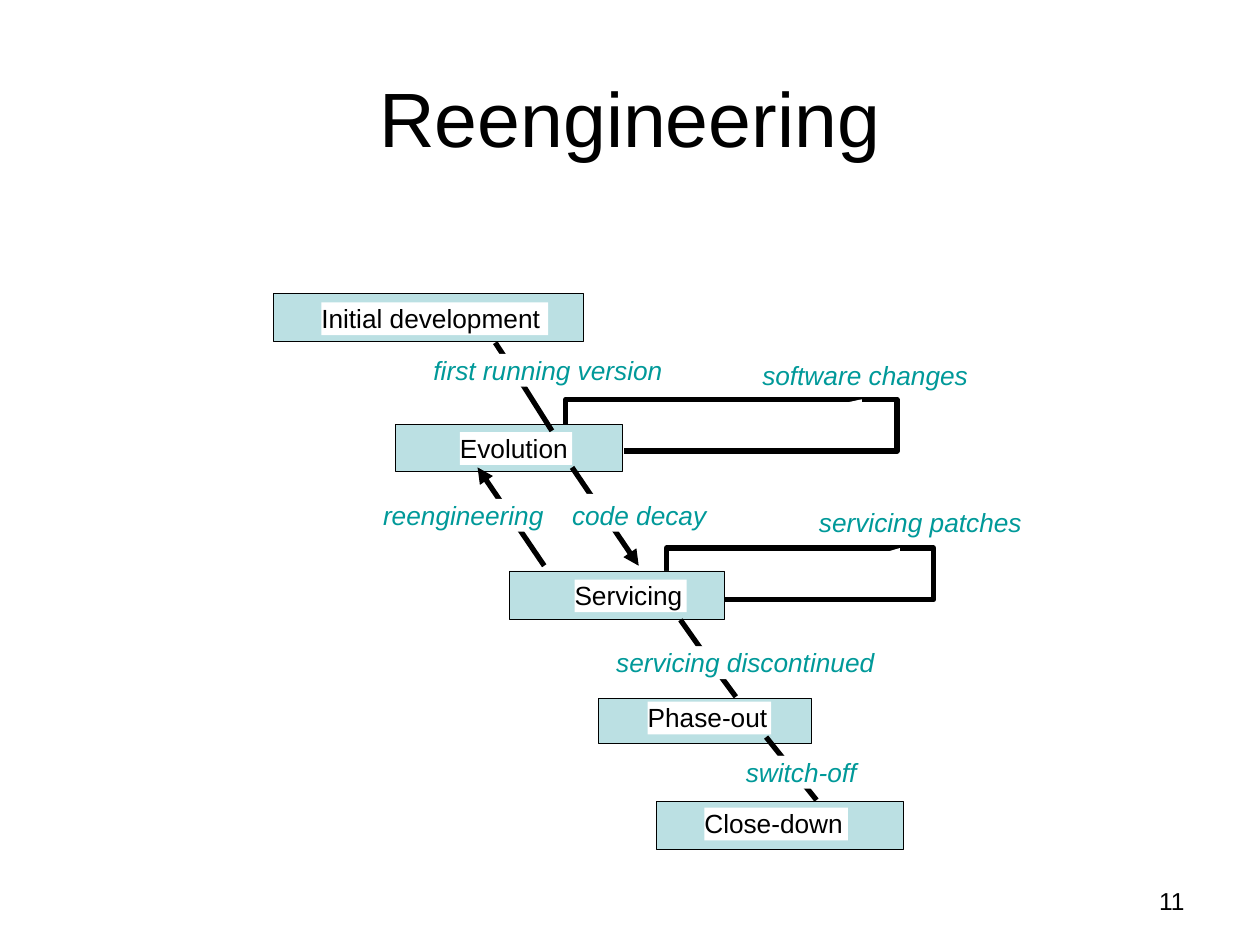
"""Build the Reengineering slide: a staged software life cycle with labelled transitions."""
from dataclasses import dataclass
from typing import Optional

from lxml import etree
from pptx import Presentation
from pptx.dml.color import RGBColor
from pptx.enum.shapes import MSO_CONNECTOR, MSO_SHAPE
from pptx.enum.text import MSO_ANCHOR, PP_ALIGN
from pptx.oxml.ns import qn
from pptx.util import Pt

RECT = MSO_SHAPE.RECTANGLE
STRAIGHT = MSO_CONNECTOR.STRAIGHT
TOP, MIDDLE = MSO_ANCHOR.TOP, MSO_ANCHOR.MIDDLE
LEFT, CENTER, RIGHT = PP_ALIGN.LEFT, PP_ALIGN.CENTER, PP_ALIGN.RIGHT
BLACK = RGBColor(0x00, 0x00, 0x00)
WHITE = RGBColor(0xFF, 0xFF, 0xFF)
PALE = RGBColor(0xBB, 0xE0, 0xE3)
TEAL = RGBColor(0x00, 0x99, 0x99)
FONT = "Arial"
TEXT_H, MASK_H = 18.7, 11.5
THICK, THIN = 3, 0.25


@dataclass
class Box:
    x: float
    y: float
    w: float
    h: float


@dataclass
class Stage:
    name: str
    box: Box
    text: Box


@dataclass
class Label:
    name: str
    box: Box
    mask: Optional[Box] = None


@dataclass
class Link:
    start: tuple[float, float]
    end: tuple[float, float]
    arrow: bool = False


STAGES = [
    Stage("Initial development", Box(156.2, 167.8, 177.1, 27.4), Box(183.6, 172.8, 129.6, TEXT_H)),
    Stage("Evolution", Box(226.1, 242.6, 129.6, 26.6), Box(262.8, 247, 64.1, TEXT_H)),
    Stage("Servicing", Box(290.9, 326.2, 123.1, 27.4), Box(328.3, 331.2, 64.1, TEXT_H)),
    Stage("Phase-out", Box(342, 398.9, 121.7, 25.9), Box(370.1, 401, 70.6, TEXT_H)),
    Stage("Close-down", Box(375.1, 457.9, 141.1, 27.4), Box(402.5, 461.5, 82.1, TEXT_H)),
]
LINKS = [
    Link((299.5, 221), (315.4, 246.2)),
    Link((299.5, 221), (283, 195.8)),
    Link((326.9, 267.1), (365, 323.3), True),
    Link((311, 323.3), (272.9, 267.1), True),
    Link((404.6, 376.6), (420.5, 398.2)),
    Link((404.6, 376.6), (388.8, 354.2)),
    Link((452.2, 439.2), (466.6, 457.2)),
    Link((452.2, 439.2), (437.8, 421.2)),
]
LABELS = [
    Label("first running version", Box(247.7, 202.3, 135.4, TEXT_H), Box(247.7, 203, 115.2, MASK_H)),
    Label("software changes", Box(435.6, 205.2, 125.3, TEXT_H)),
    Label("code decay", Box(326.9, 285.1, 85, TEXT_H), Box(304.6, 282.2, 106.6, MASK_H)),
    Label("servicing patches", Box(468, 289.4, 120.2, TEXT_H), Box(468, 295.2, 102.2, MASK_H)),
    Label("servicing discontinued", Box(352.1, 369.4, 152.6, TEXT_H), Box(352.1, 369.4, 128.2, MASK_H)),
    Label("switch-off", Box(426.2, 432, 65.5, TEXT_H), Box(426.2, 432, 60.5, MASK_H)),
    Label("reengineering", Box(218.9, 285.1, 98.6, TEXT_H)),
]
LOOPS = [
    [(514.1, 313.2), (380.9, 313.2), (380.9, 331.2)],
    [(492.5, 228.2), (323.3, 228.2), (323.3, 246.2)],
    [(492.5, 228.2), (512.6, 228.2), (512.6, 257.8), (356.4, 257.8)],
    [(514.1, 313.2), (533.5, 313.2), (533.5, 342.7), (414, 342.7)],
]


def place(box: Box) -> tuple:
    """Return left, top, width and height as lengths."""
    return Pt(box.x), Pt(box.y), Pt(box.w), Pt(box.h)


def write(tf, text: str, size: float, color=BLACK, align=LEFT, anchor=TOP, italic=False) -> None:
    """Put one formatted paragraph in a text frame."""
    tf.text = text
    tf.vertical_anchor = anchor
    p = tf.paragraphs[0]
    p.alignment = align
    f = p.runs[0].font
    f.name, f.size, f.italic = FONT, Pt(size), italic
    f.color.rgb = color


def add_text(s, box: Box, text: str, size: float, align, anchor=TOP) -> None:
    """Add a wrapping text box."""
    tf = s.shapes.add_textbox(*place(box)).text_frame
    tf.word_wrap = True
    write(tf, text, size, align=align, anchor=anchor)


def add_rect(s, box: Box, fill: RGBColor, outlined: bool = False):
    """Add a flat rectangle, with a thin outline if asked."""
    sp = s.shapes.add_shape(RECT, *place(box))
    sp.shadow.inherit = False
    sp.fill.solid()
    sp.fill.fore_color.rgb = fill
    if outlined:
        sp.line.color.rgb = BLACK
        sp.line.width = Pt(THIN)
    else:
        sp.line.fill.background()
    return sp


def add_tag(s, box: Box, text: str, color=BLACK, italic=False) -> None:
    """Add text on a white rectangle without margins."""
    tf = add_rect(s, box, WHITE).text_frame
    tf.margin_left = tf.margin_top = tf.margin_right = tf.margin_bottom = 0
    tf.word_wrap = False
    write(tf, text, 15, color, italic=italic)


def add_loop(s, points: list) -> None:
    """Add an open, white-filled path with a thick line."""
    corners = [(Pt(x), Pt(y)) for x, y in points]
    fb = s.shapes.build_freeform(*corners[0], scale=1.0)
    fb.add_line_segments(corners[1:], close=False)
    sp = fb.convert_to_shape()
    sp.shadow.inherit = False
    sp.fill.solid()
    sp.fill.fore_color.rgb = WHITE
    sp.line.color.rgb = BLACK
    sp.line.width = Pt(THICK)


def add_link(s, link: Link) -> None:
    """Add a thick straight line, with an arrowhead at its end if asked."""
    c = s.shapes.add_connector(STRAIGHT, *map(Pt, link.start + link.end))
    c.line.color.rgb = BLACK
    c.line.width = Pt(THICK)
    if link.arrow:
        etree.SubElement(c.line._get_or_add_ln(), qn("a:tailEnd"), type="triangle")
    etree.SubElement(c._element.spPr, qn("a:effectLst"))


def main() -> None:
    """Draw the slide and save it."""
    prs = Presentation()
    prs.slide_width, prs.slide_height = Pt(720), Pt(540)
    s = prs.slides.add_slide(prs.slide_layouts[6])
    add_text(s, Box(36, 21.6, 648, 90), "Reengineering", 44, CENTER, MIDDLE)
    add_text(s, Box(516.2, 502.6, 167.8, 37.4), "11", 14, RIGHT)
    for points in LOOPS:
        add_loop(s, points)
    for stage in STAGES:
        add_rect(s, stage.box, PALE, outlined=True)
        add_tag(s, stage.text, stage.name)
    for link in LINKS:
        add_link(s, link)
    for label in LABELS:
        if label.mask:
            add_rect(s, label.mask, WHITE)
        add_tag(s, label.box, label.name, TEAL, italic=True)
    prs.save("out.pptx")


if __name__ == "__main__":
    main()
